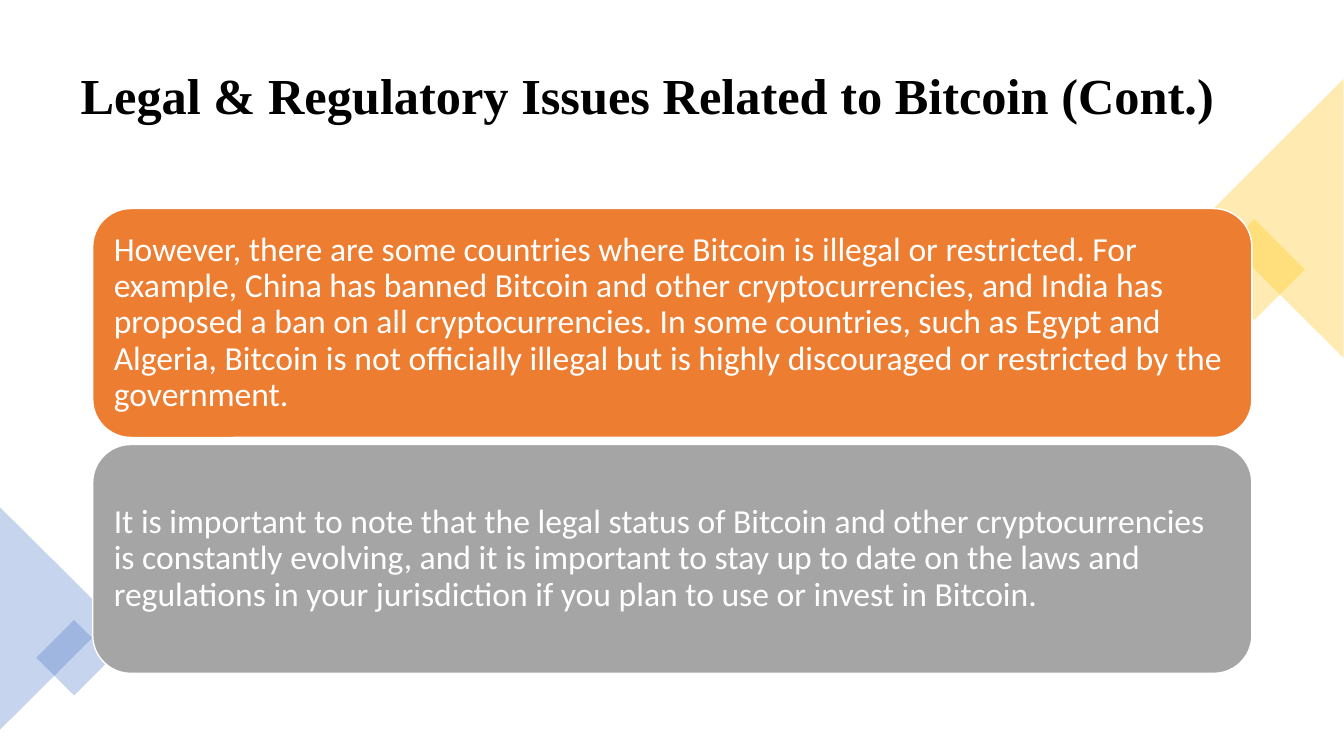
"""Build the slide on legal and regulatory issues related to Bitcoin."""
import dataclasses
from typing import Any

import lxml.etree
import pptx
import pptx.dml.color
import pptx.enum.shapes
import pptx.enum.text
import pptx.oxml.ns
import pptx.util

Pt = pptx.util.Pt
RGBColor = pptx.dml.color.RGBColor
MSO_SHAPE = pptx.enum.shapes.MSO_SHAPE
ANCHOR = pptx.enum.text.MSO_ANCHOR
ALIGN = pptx.enum.text.PP_ALIGN

BLACK = RGBColor(0x00, 0x00, 0x00)
WHITE = RGBColor(0xFF, 0xFF, 0xFF)
ORANGE = RGBColor(0xED, 0x7D, 0x31)
GRAY = RGBColor(0xA5, 0xA5, 0xA5)
GOLD = RGBColor(0xFF, 0xC0, 0x00)
BLUE = RGBColor(0x44, 0x72, 0xC4)

DECOR_OPACITY = 30
CARD_LEFT, CARD_TOP, CARD_WIDTH, CARD_HEIGHT = 66.24, 149, 828, 163.5
CARD_PITCH = 168.5
TITLE = "Legal & Regulatory Issues Related to Bitcoin (Cont.)"
TITLE_FONT = {"name": "Times New Roman", "size": Pt(36), "bold": True}
CARD_FONT = {"name": "Calibri", "size": Pt(24)}
FRAME = {
    "word_wrap": True,
    "auto_size": pptx.enum.text.MSO_AUTO_SIZE.NONE,
    "vertical_anchor": ANCHOR.MIDDLE,
}
MARGINS = {f"margin_{side}": Pt(7.2) for side in ("left", "top", "right", "bottom")}


@dataclasses.dataclass(frozen=True)
class Decor:
    kind: MSO_SHAPE
    left: float
    top: float
    width: float
    height: float
    rotation: float
    color: RGBColor


@dataclasses.dataclass(frozen=True)
class Card:
    color: RGBColor
    text: str


DECORS = (
    Decor(MSO_SHAPE.RECTANGLE, 870.5, 167, 51, 51, 45, GOLD),
    Decor(MSO_SHAPE.ISOSCELES_TRIANGLE, 810, 106, 199.5, 100, 270, GOLD),
    Decor(MSO_SHAPE.ISOSCELES_TRIANGLE, -39.6, 401.8, 159, 80, 90, BLUE),
    Decor(MSO_SHAPE.RECTANGLE, 33.8, 450.7, 38.2, 38.2, 45, BLUE),
)
CARDS = (
    Card(
        ORANGE,
        "However, there are some countries where Bitcoin is illegal or restricted. "
        "For example, China has banned Bitcoin and other cryptocurrencies, and India "
        "has proposed a ban on all cryptocurrencies. In some countries, such as Egypt "
        "and Algeria, Bitcoin is not officially illegal but is highly discouraged or "
        "restricted by the government.",
    ),
    Card(
        GRAY,
        "It is important to note that the legal status of Bitcoin and other "
        "cryptocurrencies is constantly evolving, and it is important to stay up to "
        "date on the laws and regulations in your jurisdiction if you plan to use or "
        "invest in Bitcoin.",
    ),
)


def apply(target: Any, values: dict[str, Any]) -> None:
    for name, value in values.items():
        setattr(target, name, value)


def write(sp: Any, text: str, font: dict[str, Any], color: RGBColor) -> None:
    tf = sp.text_frame
    apply(tf, FRAME)
    p = tf.paragraphs[0]
    apply(p, {"alignment": ALIGN.LEFT, "line_spacing": 0.9})
    r = p.add_run()
    r.text = text
    apply(r.font, font)
    r.font.color.rgb = color


def add_filled(s: Any, kind: MSO_SHAPE, box: tuple[float, ...], color: RGBColor) -> Any:
    sp = s.shapes.add_shape(kind, *map(Pt, box))
    sp.shadow.inherit = False
    sp.fill.solid()
    sp.fill.fore_color.rgb = color
    return sp


def add_decor(s: Any, decor: Decor) -> None:
    box = (decor.left, decor.top, decor.width, decor.height)
    sp = add_filled(s, decor.kind, box, decor.color)
    sp.rotation = decor.rotation
    sp.line.fill.background()
    clr = sp._element.xpath("./p:spPr/a:solidFill/a:srgbClr")[0]
    alpha = lxml.etree.SubElement(clr, pptx.oxml.ns.qn("a:alpha"))
    alpha.set("val", str(DECOR_OPACITY * 1000))


def add_card(s: Any, card: Card, top: float) -> None:
    box = (CARD_LEFT, top, CARD_WIDTH, CARD_HEIGHT)
    sp = add_filled(s, MSO_SHAPE.ROUNDED_RECTANGLE, box, card.color)
    sp.line.color.rgb = WHITE
    sp.line.width = Pt(1)
    apply(sp.text_frame, MARGINS)
    write(sp, card.text, CARD_FONT, WHITE)


def main() -> None:
    prs = pptx.Presentation()
    apply(prs, {"slide_width": Pt(960), "slide_height": Pt(540)})
    s = prs.slides.add_slide(prs.slide_layouts.get_by_name("Title Only"))
    title = s.shapes.title
    apply(title, {"left": Pt(50.4), "top": Pt(25.2), "width": Pt(859), "height": Pt(89.3)})
    write(title, TITLE, TITLE_FONT, BLACK)
    for decor in DECORS:
        add_decor(s, decor)
    for i, card in enumerate(CARDS):
        add_card(s, card, CARD_TOP + i * CARD_PITCH)
    prs.save("out.pptx")


if __name__ == "__main__":
    main()
